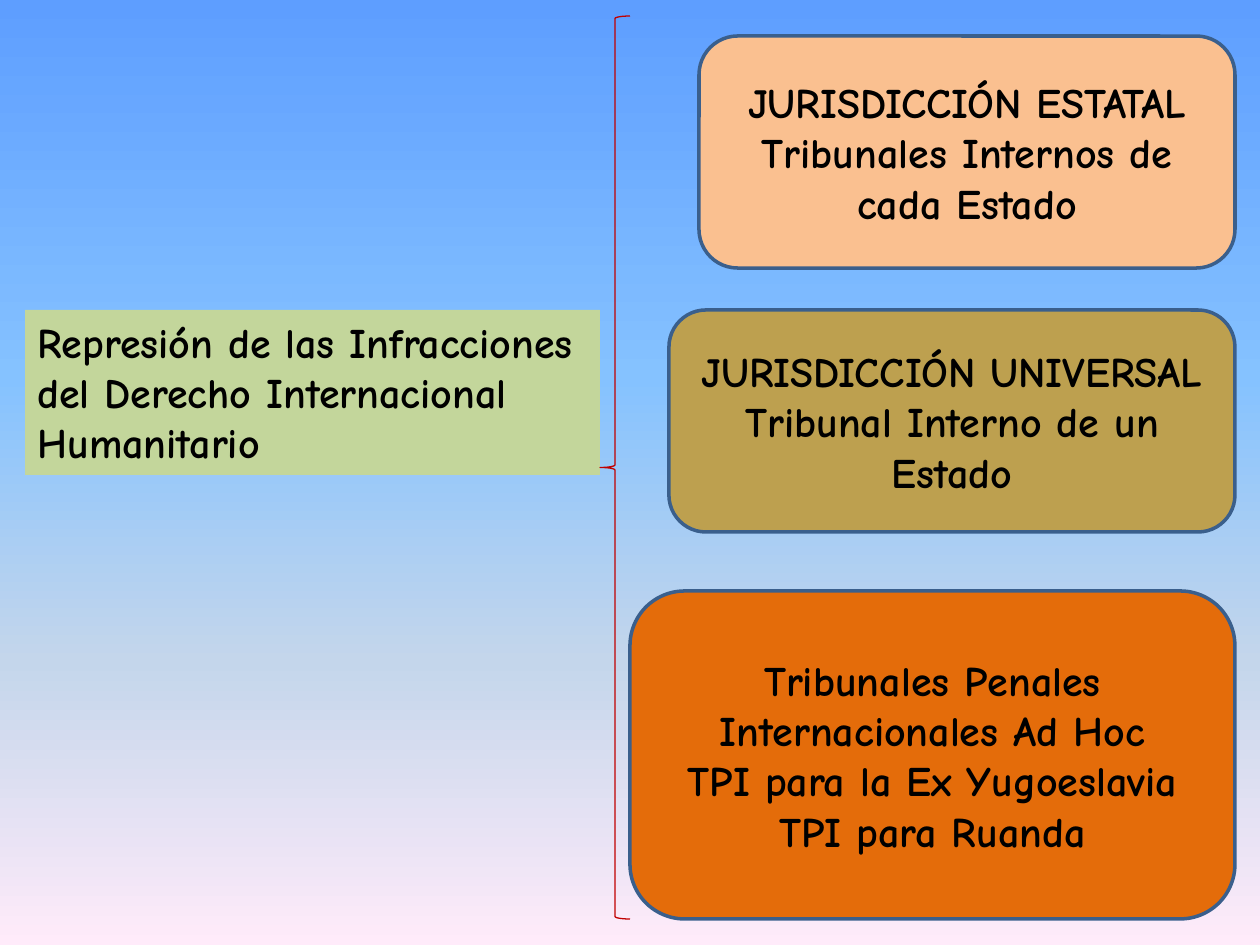
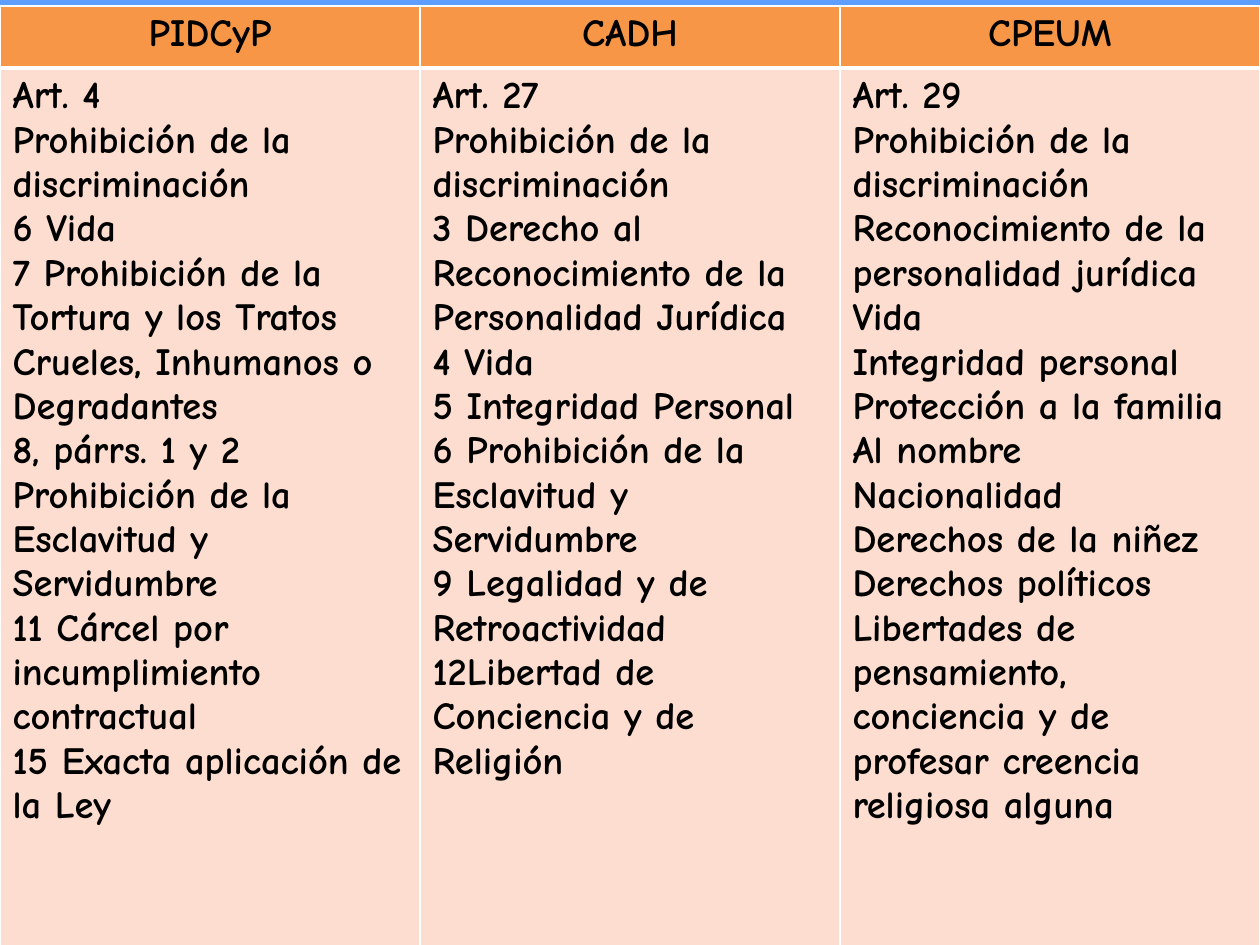
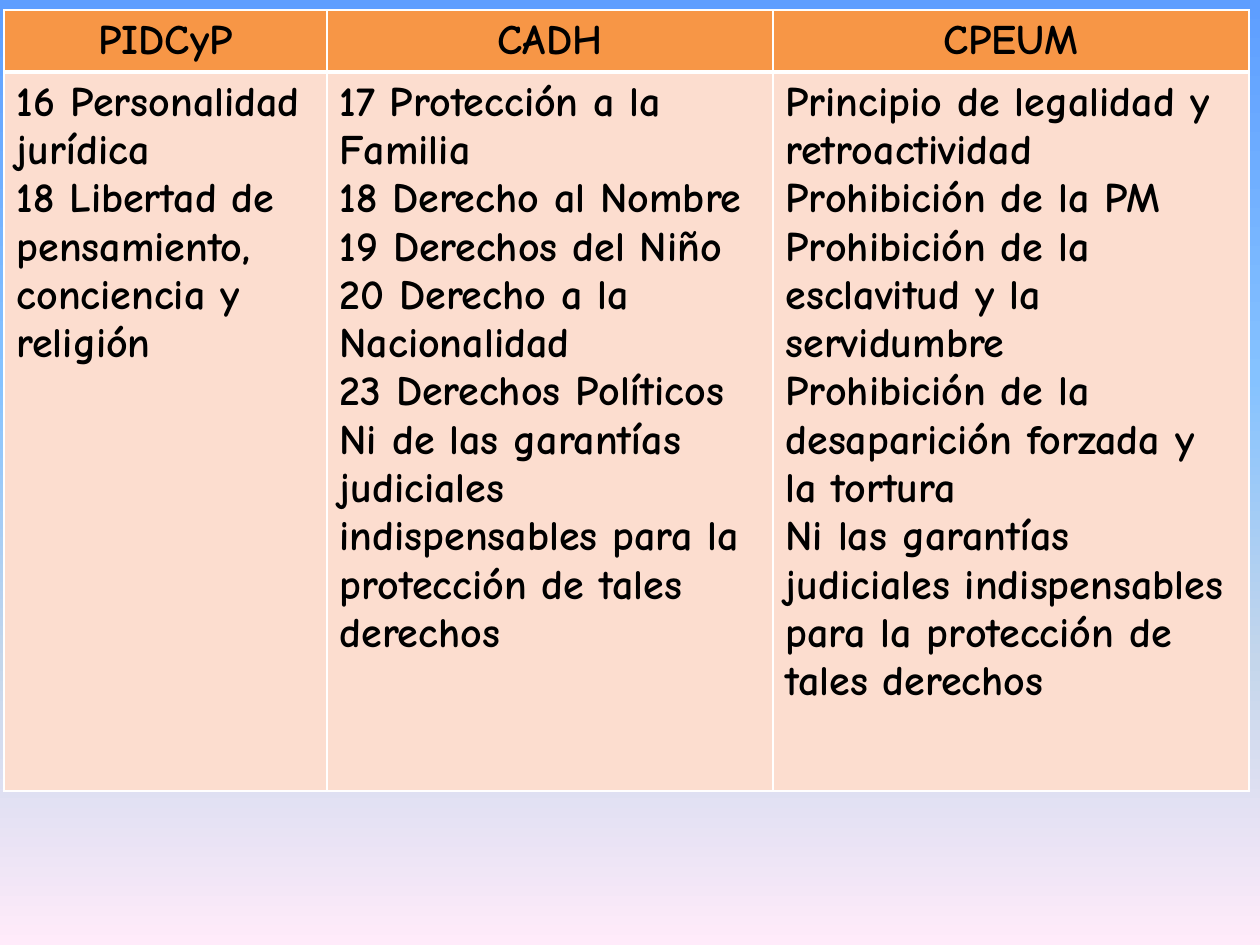
from lxml import etree
from pptx import Presentation
from pptx import util as u
from pptx.dml.color import RGBColor
from pptx.enum import shapes, text
from pptx.oxml.ns import qn

PX = 914400 / 126
FONT = "Comic Neue"
COLORS = {
    "text": "000000", "topic": "C3D69B", "outline": "3A5F8C", "brace": "C00000",
    "state": "FAC090", "universal": "BDA04F", "ad_hoc": "E46C0A",
    "header": "F79646", "body": "FCDDCF", "border": "FFFFFF",
}
BACKGROUND = [(0, "5E9EFF"), (40, "85C2FF"), (70, "C4D6EB"), (100, "FFEBFA")]

TOPIC = "Represión de las Infracciones del Derecho Internacional Humanitario"
TOPIC_BOX = (25, 310, 575, 165)
BRACE_BOX = (600, 16, 30, 903)
COURTS_RIGHT = 1235
# colour, left, top, height, paragraphs
COURTS = [
    ("state", 699, 36, 232,
     ["JURISDICCIÓN ESTATAL", "Tribunales Internos de cada Estado"]),
    ("universal", 669, 310, 222,
     ["JURISDICCIÓN UNIVERSAL", "Tribunal Interno de un Estado"]),
    ("ad_hoc", 630, 591, 328,
     ["Tribunales Penales Internacionales Ad Hoc",
      "TPI para la Ex Yugoeslavia", "TPI para Ruanda"]),
]

HEADERS = ["PIDCyP", "CADH", "CPEUM"]
RIGHTS_TABLES = [
    {"left": 0, "top": 6, "widths": [420, 420, 420], "heights": [62, 882], "size": 22,
     "columns": [
         ["Art. 4", "Prohibición de la discriminación", "6 Vida",
          "7 Prohibición de la Tortura y los Tratos Crueles, Inhumanos o Degradantes",
          "8, párrs. 1 y 2 Prohibición de la Esclavitud y Servidumbre",
          "11 Cárcel por incumplimiento contractual",
          "15 Exacta aplicación de la Ley"],
         ["Art. 27", "Prohibición de la discriminación",
          "3 Derecho al Reconocimiento de la Personalidad Jurídica",
          "4 Vida", "5 Integridad Personal",
          "6 Prohibición de la Esclavitud y Servidumbre",
          "9 Legalidad y de Retroactividad",
          "12Libertad de Conciencia y de Religión"],
         ["Art. 29", "Prohibición de la discriminación",
          "Reconocimiento de la personalidad jurídica", "Vida",
          "Integridad personal", "Protección a la familia", "Al nombre",
          "Nacionalidad", "Derechos de la niñez", "Derechos políticos",
          "Libertades de pensamiento, conciencia y de profesar creencia religiosa alguna"],
     ]},
    {"left": 4, "top": 10, "widths": [323, 446, 476], "heights": [62, 719], "size": 24,
     "columns": [
         ["16 Personalidad jurídica",
          "18 Libertad de pensamiento, conciencia y religión"],
         ["17 Protección a la Familia", "18 Derecho al Nombre",
          "19 Derechos del Niño", "20 Derecho a la Nacionalidad",
          "23 Derechos Políticos",
          "Ni de las garantías judiciales indispensables para la protección de tales derechos"],
         ["Principio de legalidad y retroactividad", "Prohibición de la PM",
          "Prohibición de la esclavitud y la servidumbre",
          "Prohibición de la desaparición forzada y la tortura",
          "Ni las garantías judiciales indispensables para la protección de tales derechos"],
     ]},
]


def px(*lengths):
    return [u.Emu(round(length * PX)) for length in lengths]


def rgb(name):
    return RGBColor.from_string(COLORS[name])


def write_text(frame, lines, size=24, align=text.PP_ALIGN.LEFT):
    frame.word_wrap = True
    for index, line in enumerate(lines):
        paragraph = frame.add_paragraph() if index else frame.paragraphs[0]
        paragraph.alignment = align
        run = paragraph.add_run()
        run.text = line
        run.font.name, run.font.size, run.font.bold = FONT, u.Pt(size), True
        run.font.color.rgb = rgb("text")


def add_shape(slide, kind, box, fill=None, line=None, width=2):
    shape = slide.shapes.add_shape(kind, *px(*box))
    shape.shadow.inherit = False
    if fill:
        shape.fill.solid()
        shape.fill.fore_color.rgb = rgb(fill)
    else:
        shape.fill.background()
    if line:
        shape.line.color.rgb = rgb(line)
        shape.line.width = u.Pt(width)
    else:
        shape.line.fill.background()
    return shape


def set_background(master):
    """Give every slide the vertical gradient through the slide master."""
    master.background.fill.gradient()
    gradient = master.element.find(".//" + qn("a:gradFill"))
    for child in list(gradient):
        gradient.remove(child)
    stops = etree.SubElement(gradient, qn("a:gsLst"))
    for position, color in BACKGROUND:
        stop = etree.SubElement(stops, qn("a:gs"), pos=str(position * 1000))
        etree.SubElement(stop, qn("a:srgbClr"), val=color)
    etree.SubElement(gradient, qn("a:lin"), ang="5400000", scaled="0")


def format_cell(cell, fill, thick_side):
    properties = cell._tc.get_or_add_tcPr()
    for side in "LRTB":
        points = 3 if side == thick_side else 1
        line = etree.SubElement(properties, qn("a:ln" + side), w=str(u.Pt(points)))
        solid = etree.SubElement(line, qn("a:solidFill"))
        etree.SubElement(solid, qn("a:srgbClr"), val=COLORS["border"])
    cell.fill.solid()
    cell.fill.fore_color.rgb = rgb(fill)


def add_rights_table(slide, left, top, widths, heights, size, columns):
    box = px(left, top, sum(widths), sum(heights))
    table = slide.shapes.add_table(len(heights), len(widths), *box).table
    table.horz_banding = False
    for row, height in zip(table.rows, px(*heights)):
        row.height = height
    for index, width in enumerate(px(*widths)):
        table.columns[index].width = width
        header, body = table.cell(0, index), table.cell(1, index)
        format_cell(header, "header", "B")
        format_cell(body, "body", "T")
        write_text(header.text_frame, [HEADERS[index]], size, text.PP_ALIGN.CENTER)
        write_text(body.text_frame, columns[index], size)


def add_courts(slide):
    topic = add_shape(slide, shapes.MSO_SHAPE.RECTANGLE, TOPIC_BOX, "topic")
    topic.text_frame.vertical_anchor = text.MSO_ANCHOR.TOP
    write_text(topic.text_frame, [TOPIC])
    for fill, left, top, height, lines in COURTS:
        box = (left, top, COURTS_RIGHT - left, height)
        court = add_shape(slide, shapes.MSO_SHAPE.ROUNDED_RECTANGLE, box, fill, "outline")
        court.text_frame.vertical_anchor = text.MSO_ANCHOR.MIDDLE
        write_text(court.text_frame, lines, align=text.PP_ALIGN.CENTER)
    add_shape(slide, shapes.MSO_SHAPE.LEFT_BRACE, BRACE_BOX, line="brace", width=0.75)


def main():
    presentation = Presentation()
    presentation.slide_width, presentation.slide_height = px(1260, 945)
    set_background(presentation.slide_master)
    blank = presentation.slide_layouts[6]
    add_courts(presentation.slides.add_slide(blank))
    for rights in RIGHTS_TABLES:
        add_rights_table(presentation.slides.add_slide(blank), **rights)
    presentation.save("out.pptx")


if __name__ == "__main__":
    main()
